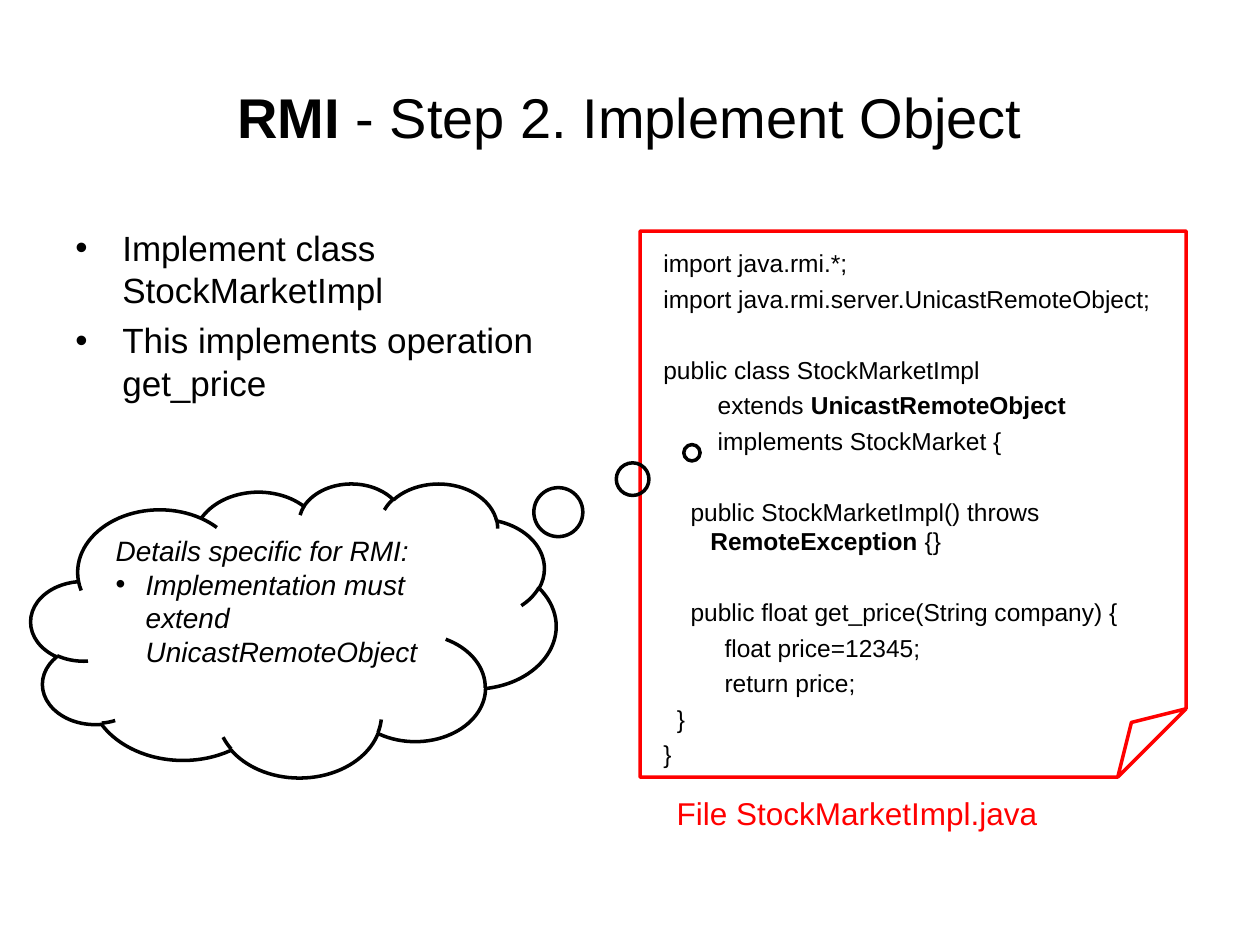
from dataclasses import dataclass

import pptx
import pptx.dml.color
import pptx.enum.shapes
import pptx.enum.text
import pptx.oxml
import pptx.oxml.ns
import pptx.util

PX_PER_INCH = 126
SHAPES = pptx.enum.shapes.MSO_SHAPE
ALIGN = pptx.enum.text.PP_ALIGN
ANCHOR = pptx.enum.text.MSO_ANCHOR
NAMESPACE = pptx.oxml.ns.nsdecls("a")


def px(length: int) -> pptx.util.Emu:
    return pptx.util.Emu(round(length * 914400 / PX_PER_INCH))


@dataclass(frozen=True)
class Theme:
    font: str = "Arial"
    ink: str = "000000"
    accent: str = "FF0000"
    title: int = 32
    body: int = 20
    caption: int = 18
    cloud: int = 16
    code: int = 14
    leading: float = 1.2
    outline: int = 2


THEME = Theme()


@dataclass(frozen=True)
class Box:
    left: int
    top: int
    width: int
    height: int

    def emu(self) -> list[pptx.util.Emu]:
        return [px(n) for n in (self.left, self.top, self.width, self.height)]


@dataclass(frozen=True)
class Style:
    size: int
    color: str = THEME.ink
    align: ALIGN = ALIGN.LEFT
    italic: bool = False
    hang: int = 0
    bullet: bool = False
    gap: float = 0


@dataclass(frozen=True)
class Line:
    """One paragraph; text between ** marks is bold."""
    text: str
    style: Style
    blank_above: bool = False


def rgb(color: str) -> pptx.dml.color.RGBColor:
    return pptx.dml.color.RGBColor.from_string(color)


def add_bullet(properties, color: str) -> None:
    for xml in (
        f'<a:buClr {NAMESPACE}><a:srgbClr val="{color}"/></a:buClr>',
        f'<a:buFont {NAMESPACE} typeface="{THEME.font}"/>',
        f'<a:buChar {NAMESPACE} char="•"/>',
    ):
        properties.append(pptx.oxml.parse_xml(xml))


def write_lines(frame, lines: list[Line], anchor=ANCHOR.TOP, wrap: bool = True) -> None:
    frame.word_wrap = wrap
    frame.vertical_anchor = anchor
    for index, line in enumerate(lines):
        style = line.style
        paragraph = frame.add_paragraph() if index else frame.paragraphs[0]
        properties = paragraph._p.get_or_add_pPr()
        if style.hang:
            properties.set("marL", str(px(style.hang)))
            properties.set("indent", str(px(-style.hang)))
        if style.bullet:
            add_bullet(properties, style.color)
        row = style.size * THEME.leading
        gap = style.gap + (row + style.gap if line.blank_above else 0)
        layout = {
            "alignment": style.align,
            "line_spacing": pptx.util.Pt(row),
            "space_before": pptx.util.Pt(gap if index else 0),
        }
        for name, value in layout.items():
            setattr(paragraph, name, value)
        for part, text in enumerate(line.text.split("**")):
            if not text:
                continue
            run = paragraph.add_run()
            run.text = text
            look = {
                "name": THEME.font,
                "size": pptx.util.Pt(style.size),
                "bold": part % 2 == 1,
                "italic": style.italic,
            }
            for name, value in look.items():
                setattr(run.font, name, value)
            run.font.color.rgb = rgb(style.color)


def add_text(slide, box: Box, lines: list[Line], **frame_options) -> None:
    write_lines(slide.shapes.add_textbox(*box.emu()).text_frame, lines, **frame_options)


def add_outline(slide, kind: SHAPES, box: Box, color: str, guides: dict[str, int]):
    """Add an unfilled preset shape, with its guides in 1/100000 of its size."""
    shape = slide.shapes.add_shape(kind, *box.emu())
    shape.shadow.inherit = False
    shape.fill.background()
    shape.line.color.rgb = rgb(color)
    shape.line.width = pptx.util.Pt(THEME.outline)
    geometry = shape._element.spPr.find(pptx.oxml.ns.qn("a:prstGeom"))
    for child in list(geometry):
        geometry.remove(child)
    values = "".join(f'<a:gd name="{name}" fmla="val {value}"/>'
                     for name, value in guides.items())
    geometry.append(pptx.oxml.parse_xml(f"<a:avLst {NAMESPACE}>{values}</a:avLst>"))
    return shape


TITLE = Style(THEME.title, align=ALIGN.CENTER)
BODY = Style(THEME.body, hang=47, bullet=True, gap=5)
CODE = Style(THEME.code, hang=47, gap=3.5)
CAPTION = Style(THEME.caption, color=THEME.accent, align=ALIGN.CENTER)
REMARK = Style(THEME.cloud, italic=True)
REMARK_ITEM = Style(THEME.cloud, italic=True, hang=30, bullet=True)

STEPS = ["Implement class StockMarketImpl", "This implements operation get_price"]

SOURCE = """import java.rmi.*;
import java.rmi.server.UnicastRemoteObject;

public class StockMarketImpl
        extends **UnicastRemoteObject**
        implements StockMarket {

    public StockMarketImpl() throws **RemoteException** {}

    public float get_price(String company) {
         float price=12345;
         return price;
  }
}"""


def code_lines(source: str) -> list[Line]:
    """Turn each empty source line into a gap above the next one."""
    rows = source.split("\n")
    return [
        Line(row, CODE, blank_above=index > 0 and not rows[index - 1])
        for index, row in enumerate(rows)
        if row
    ]


def main() -> None:
    deck = pptx.Presentation()
    deck.slide_width, deck.slide_height = px(1260), px(945)
    slide = deck.slides.add_slide(deck.slide_layouts[6])

    add_text(slide, Box(63, 38, 1134, 157),
             [Line("**RMI** - Step 2. Implement Object", TITLE)], anchor=ANCHOR.MIDDLE)
    add_text(slide, Box(63, 220, 557, 624), [Line(step, BODY) for step in STEPS])
    add_text(slide, Box(651, 242, 557, 624), code_lines(SOURCE))
    add_outline(slide, SHAPES.FOLDED_CORNER, Box(640, 231, 546, 546),
                THEME.accent, {"adj": 12500})
    add_text(slide, Box(664, 788, 386, 50),
             [Line("File StockMarketImpl.java", CAPTION)], wrap=False)

    cloud = add_outline(slide, SHAPES.CLOUD_CALLOUT, Box(31, 483, 525, 294),
                        THEME.ink, {"adj1": 75900, "adj2": -60300})
    write_lines(cloud.text_frame, [
        Line("Details specific for RMI:", REMARK),
        Line("Implementation must extend UnicastRemoteObject", REMARK_ITEM),
    ])
    deck.save("out.pptx")


if __name__ == "__main__":
    main()
